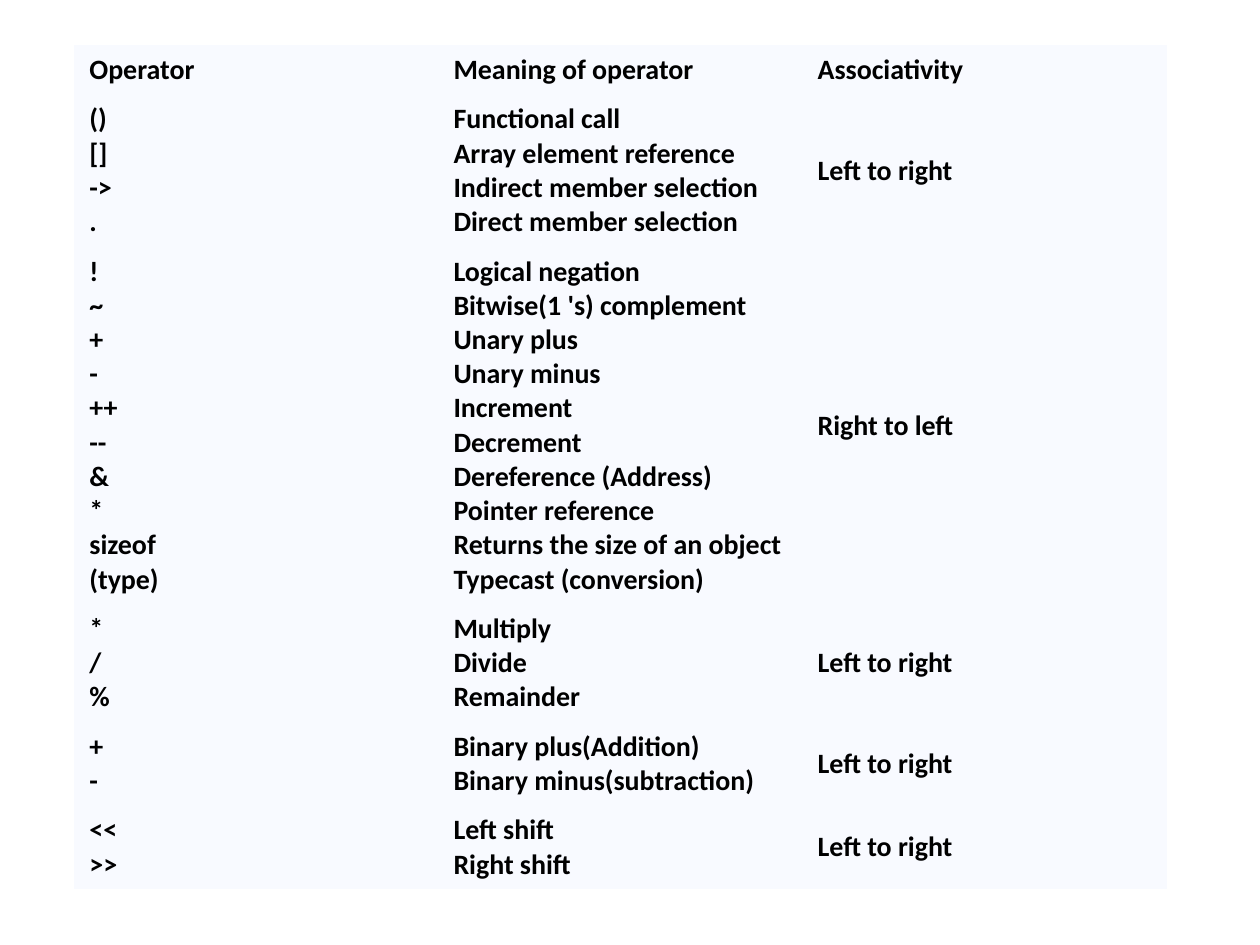
from copy import deepcopy
from dataclasses import dataclass

from pptx import Presentation
from pptx.dml.color import RGBColor
from pptx.enum.text import MSO_ANCHOR
from pptx.oxml.ns import qn
from pptx.table import _Cell
from pptx.util import Inches, Pt

BLACK = RGBColor(0x00, 0x00, 0x00)
PALE_BLUE = RGBColor(0xF8, 0xFA, 0xFF)
FONT = "Calibri"
NO_STYLE = "{2D5ABB26-0587-4C30-8999-92F81FD0307C}"
COL_WIDTH = 2.89
LINE_HEIGHT = 0.27
MARGIN_X = 0.12
MARGIN_Y = 0.06


@dataclass
class OperatorGroup:
    operators: list[str]
    meanings: list[str]
    associativity: str


GROUPS = [
    OperatorGroup(["Operator"], ["Meaning of operator"], "Associativity"),
    OperatorGroup(
        ["()", "[]", "->", "."],
        ["Functional call", "Array element reference",
         "Indirect member selection", "Direct member selection"],
        "Left to right",
    ),
    OperatorGroup(
        ["!", "~", "+", "-", "++", "--", "&", "*", "sizeof", "(type)"],
        ["Logical negation", "Bitwise(1 's) complement", "Unary plus",
         "Unary minus", "Increment", "Decrement", "Dereference (Address)",
         "Pointer reference", "Returns the size of an object",
         "Typecast (conversion)"],
        "Right to left",
    ),
    OperatorGroup(["*", "/", "%"], ["Multiply", "Divide", "Remainder"],
                  "Left to right"),
    OperatorGroup(["+", "-"],
                  ["Binary plus(Addition)", "Binary minus(subtraction)"],
                  "Left to right"),
    OperatorGroup(["<<", ">>"], ["Left shift", "Right shift"],
                  "Left to right"),
]


def fill_cell(cell: _Cell, lines: list[str]) -> None:
    cell.fill.solid()
    cell.fill.fore_color.rgb = PALE_BLUE
    cell.vertical_anchor = MSO_ANCHOR.MIDDLE
    cell.margin_left = cell.margin_right = Inches(MARGIN_X)
    cell.margin_top = cell.margin_bottom = Inches(MARGIN_Y)
    p = cell.text_frame.paragraphs[0]
    p.text = "\v".join(lines)
    for r in p.runs:
        r.font.name = FONT
        r.font.size = Pt(16)
        r.font.bold = True
        r.font.color.rgb = BLACK
    for br in p._p.findall(qn("a:br")):
        br.append(deepcopy(p.runs[0]._r.rPr))


def add_operator_table(s, groups: list[OperatorGroup]) -> None:
    heights = [LINE_HEIGHT * len(g.operators) + 2 * MARGIN_Y for g in groups]
    frame = s.shapes.add_table(
        len(groups), 3, Inches(0.59), Inches(0.36),
        Inches(3 * COL_WIDTH), Inches(sum(heights)))
    table = frame.table
    table.first_row = False
    table.horz_banding = False
    table._tbl.tblPr.find(qn("a:tableStyleId")).text = NO_STYLE
    for column in table.columns:
        column.width = Inches(COL_WIDTH)
    for row, group, height in zip(table.rows, groups, heights):
        row.height = Inches(height)
        columns = [group.operators, group.meanings, [group.associativity]]
        for cell, lines in zip(row.cells, columns):
            fill_cell(cell, lines)


def main() -> None:
    prs = Presentation()
    prs.slide_width = Inches(10)
    prs.slide_height = Inches(7.5)
    s = prs.slides.add_slide(prs.slide_layouts[6])
    add_operator_table(s, GROUPS)
    prs.save("out.pptx")


if __name__ == "__main__":
    main()
